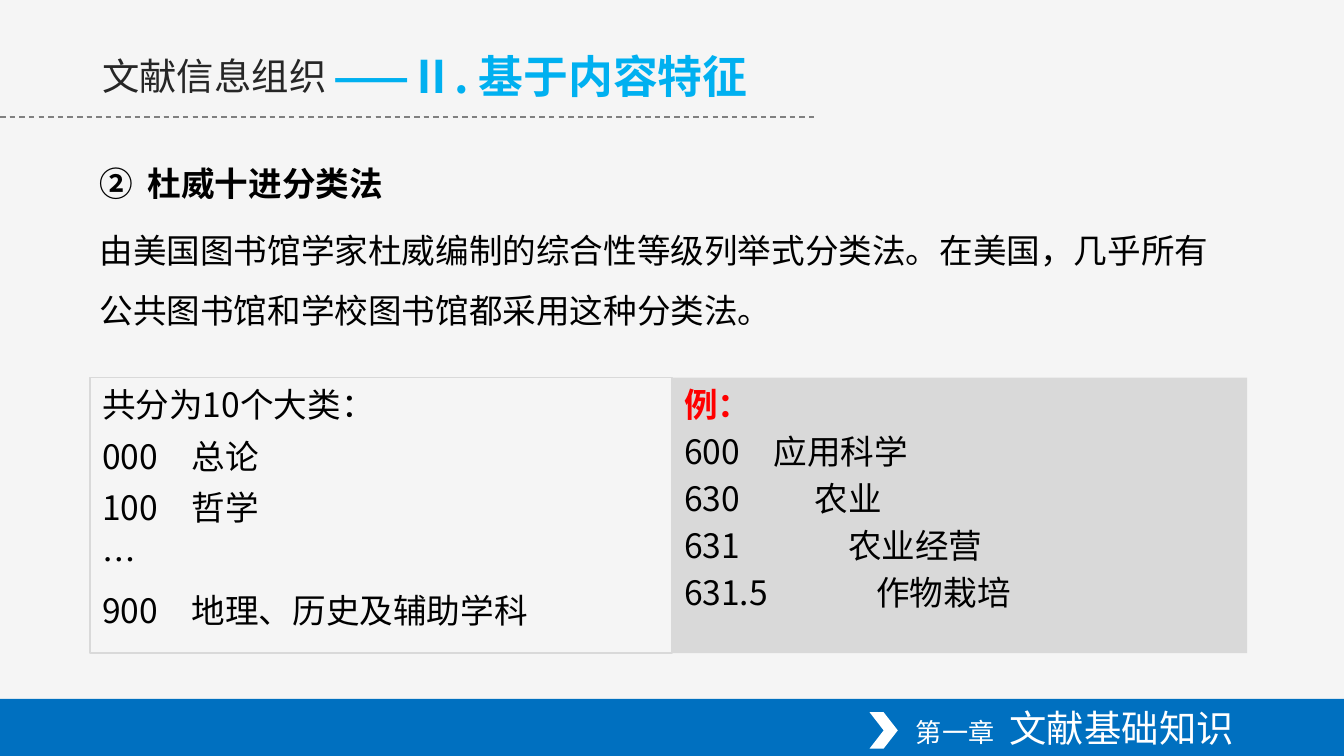
from lxml import etree
from pptx import Presentation
from pptx import util as u
from pptx.dml.color import RGBColor
from pptx.enum import dml, shapes, text
from pptx.oxml.ns import qn

FONT = "Noto Sans CJK SC"
BLACK, WHITE, GRAY, RED = "000000", "FFFFFF", "D9D9D9", "FF0000"
BLUE, SKY, DARK = "0070C0", "00B0F0", "262626"
SLIDE_WIDTH = 10
SLIDE_HEIGHT = SLIDE_WIDTH * 9 / 16
BODY_SIZE = 18
LINE_PITCH = 21.6


def color(value):
    return RGBColor.from_string(value)


def inches(*lengths):
    return [u.Inches(length) for length in lengths]


def add_tab(paragraph, position):
    tabs = etree.SubElement(paragraph._p.get_or_add_pPr(), qn("a:tabLst"))
    etree.SubElement(tabs, qn("a:tab"), pos=str(u.Inches(position)), algn="l")


def write(paragraph, content, size=BODY_SIZE, fill=BLACK, bold=False,
          align=text.PP_ALIGN.LEFT, tab=None, before=0, pitch=None):
    """Append a formatted run and set the format of its paragraph."""
    paragraph.alignment = align
    paragraph.space_before = u.Pt(before)
    if pitch:
        paragraph.line_spacing = u.Pt(pitch)
    if tab:
        add_tab(paragraph, tab)
    run = paragraph.add_run()
    run.text = content
    font = run.font
    font.size, font.bold, font.name = u.Pt(size), bold, FONT
    font.color.rgb = color(fill)
    east_asian = etree.SubElement(run._r.get_or_add_rPr(), qn("a:ea"))
    east_asian.set("typeface", FONT)


def prepare_frame(shape, anchor=text.MSO_ANCHOR.MIDDLE, insets=(0.1, 0.05)):
    frame = shape.text_frame
    frame.word_wrap = True
    frame.auto_size = text.MSO_AUTO_SIZE.NONE
    frame.vertical_anchor = anchor
    side, end = inches(*insets)
    frame.margin_left = frame.margin_right = side
    frame.margin_top = frame.margin_bottom = end
    return frame


def fill_paragraphs(shape, rows, before, pitch):
    """Write rows of (content, format) from the top of the shape."""
    frame = prepare_frame(shape, text.MSO_ANCHOR.TOP, (0.09, 0.05))
    for index, (content, options) in enumerate(rows):
        paragraph = frame.add_paragraph() if index else frame.paragraphs[0]
        write(paragraph, content, before=before if index else 0,
              pitch=pitch, **options)


def add_text_box(slide, *box):
    return slide.shapes.add_textbox(*inches(*box))


def add_block(slide, kind, *box, fill=None, line=None):
    shape = slide.shapes.add_shape(kind, *inches(*box))
    shape.shadow.inherit = False
    if fill:
        shape.fill.solid()
        shape.fill.fore_color.rgb = color(fill)
    else:
        shape.fill.background()
    if line:
        shape.line.color.rgb = color(line)
        shape.line.width = u.Pt(0.75)
    else:
        shape.line.fill.background()
    return shape


def add_dashed_rule(slide, y, length):
    rule = slide.shapes.add_connector(
        shapes.MSO_CONNECTOR.STRAIGHT, *inches(0, y, length, y))
    rule.line.color.rgb = color("808080")
    rule.line.width = u.Pt(0.75)
    rule.line.dash_style = dml.MSO_LINE.DASH
    etree.SubElement(rule._element.spPr, qn("a:effectLst"))


def add_footer(slide):
    add_block(slide, shapes.MSO_SHAPE.RECTANGLE, 0, 5.2, SLIDE_WIDTH, 0.43,
              fill=BLUE)
    chapter = add_text_box(slide, 0.67, 5.19, 8.61, 0.44)
    paragraph = prepare_frame(chapter).paragraphs[0]
    for content, size in (("第一章", 14), (" ", 16), (" 文献基础知识", 20)):
        write(paragraph, content, size=size, fill=WHITE,
              align=text.PP_ALIGN.RIGHT)
    add_block(slide, shapes.MSO_SHAPE.CHEVRON, 6.47, 5.3, 0.21, 0.27,
              fill=WHITE)


def add_heading(slide):
    for length in (6.06, 4.37):
        add_dashed_rule(slide, 0.87, length)
    title = slide.shapes.title
    title.left, title.top, title.width, title.height = inches(
        0.66, 0.34, 2.05, 0.44)
    write(prepare_frame(title).paragraphs[0], "文献信息组织", size=20, fill=DARK)
    subtitle = add_text_box(slide, 2.38, 0.31, 4.53, 0.5)
    write(prepare_frame(subtitle).paragraphs[0], "——Ⅱ. 基于内容特征",
          size=24, fill=SKY, bold=True)


def add_introduction(slide):
    introduction = add_text_box(slide, 0.65, 1.01, 8.63, 1.51)
    rows = [
        ("②\t杜威十进分类法", {"bold": True, "tab": 0.36}),
        ("由美国图书馆学家杜威编制的综合性等级列举式分类法。"
         "在美国，几乎所有公共图书馆和学校图书馆都采用这种分类法。", {}),
    ]
    fill_paragraphs(introduction, rows, before=3.6, pitch=1.5 * LINE_PITCH)


def add_main_classes(slide):
    panel = add_block(slide, shapes.MSO_SHAPE.RECTANGLE,
                      0.67, 2.81, 4.33, 2.05, line=GRAY)
    entries = ["共分为10个大类：", "000　总论", "100　哲学", "…",
               "900　地理、历史及辅助学科"]
    rows = [(entry, {}) for entry in entries]
    fill_paragraphs(panel, rows, before=6, pitch=LINE_PITCH)


def add_example(slide):
    panel = add_block(slide, shapes.MSO_SHAPE.RECTANGLE,
                      5, 2.81, 4.28, 2.05, fill=GRAY)
    rows = [
        ("例：", {"fill": RED, "bold": True}),
        ("600　应用科学", {}),
        ("630\t农业", {"tab": 0.97}),
        ("631\t农业经营", {"tab": 1.22}),
        ("631.5\t作物栽培", {"tab": 1.43}),
    ]
    fill_paragraphs(panel, rows, before=3.6, pitch=LINE_PITCH)


def main():
    presentation = Presentation()
    presentation.slide_width, presentation.slide_height = inches(
        SLIDE_WIDTH, SLIDE_HEIGHT)
    slide = presentation.slides.add_slide(presentation.slide_layouts[5])
    background = slide.background.fill
    background.solid()
    background.fore_color.rgb = color("F5F5F5")
    add_footer(slide)
    add_heading(slide)
    add_introduction(slide)
    add_main_classes(slide)
    add_example(slide)
    presentation.save("out.pptx")


if __name__ == "__main__":
    main()
